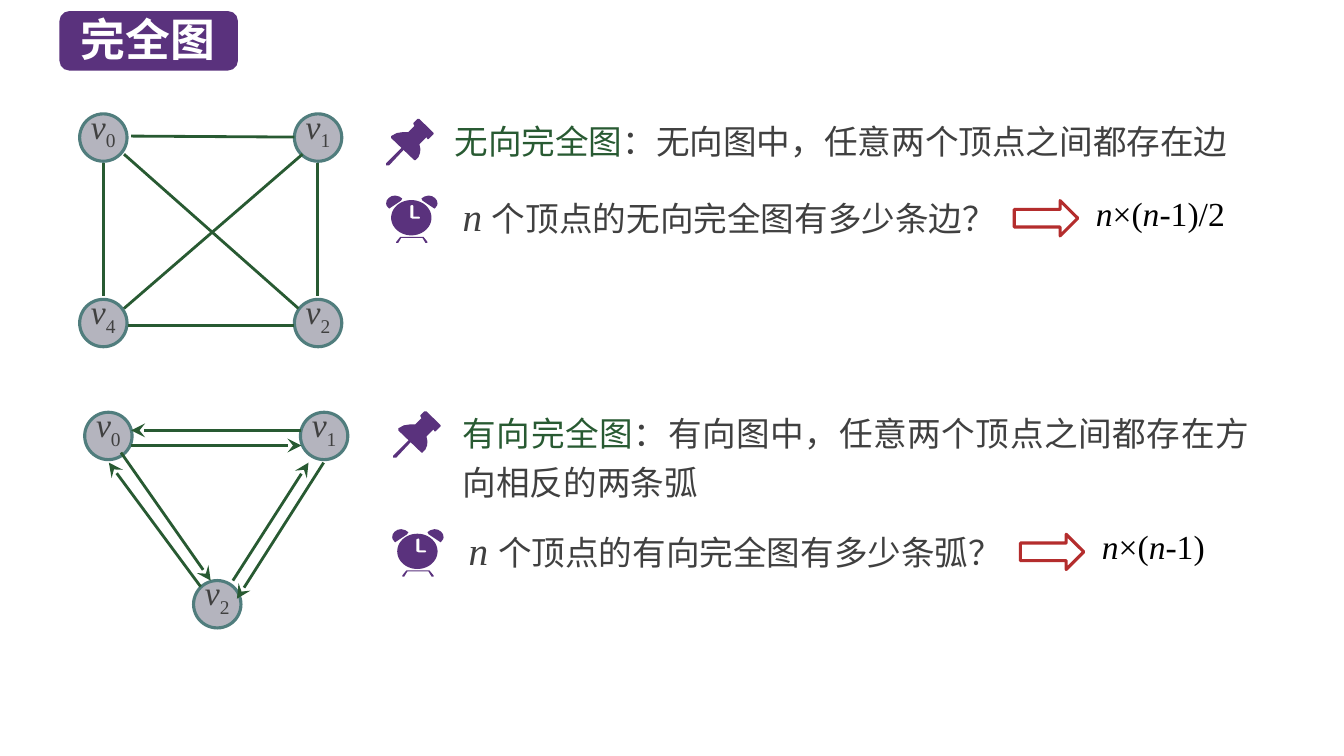
"""Build the slide on undirected and directed complete graphs."""
import math
from dataclasses import dataclass

from lxml import etree
from pptx import Presentation
from pptx.dml.color import RGBColor
from pptx.enum.shapes import MSO_CONNECTOR, MSO_SHAPE
from pptx.enum.text import MSO_ANCHOR, MSO_AUTO_SIZE, PP_ALIGN
from pptx.oxml.ns import qn
from pptx.util import Inches, Pt

STRAIGHT = MSO_CONNECTOR.STRAIGHT
ELLIPSE, ROUNDED, ARROW = MSO_SHAPE.OVAL, MSO_SHAPE.ROUNDED_RECTANGLE, MSO_SHAPE.RIGHT_ARROW
LEFT, CENTER, JUSTIFY = PP_ALIGN.LEFT, PP_ALIGN.CENTER, PP_ALIGN.JUSTIFY
TOP = MSO_ANCHOR.TOP
GROW = MSO_AUTO_SIZE.SHAPE_TO_FIT_TEXT


@dataclass(frozen=True)
class Theme:
    """Colours, fonts and type sizes of the slide."""
    purple: str = "5A327D"
    green: str = "285A32"
    node: str = "B4B4BE"
    rim: str = "507D7D"
    red: str = "B42D2D"
    ink: str = "404040"
    black: str = "000000"
    white: str = "FFFFFF"
    latin: str = "Times New Roman"
    chinese: str = "Noto Sans CJK SC"
    title: int = 32
    variable: int = 28
    body: int = 24


THEME = Theme()
NODE_SIZE = 0.47

PIN_HEAD = [(47, 15), (33, 1), (31, 1), (27, 5), (27, 6), (28, 8), (22, 14), (17, 14),
            (10.5, 15), (5, 18), (5, 20), (28, 42), (29, 42), (32, 39), (33.5, 35),
            (34, 31), (33, 26), (40, 19), (41, 21), (42, 21), (47, 16)]
PIN_NEEDLE = [(2, 47), (0, 47), (0, 45), (16, 29), (18, 29), (18, 31), (3, 47)]
CLOCK_LEGS = [(41, 46), (37, 41), (14, 41), (10, 46), (10, 47), (12, 47), (15, 42),
              (36, 42), (39, 47), (41, 47)]
CLOCK_EAR = [(9, 0), (5.5, 0.6), (2.5, 2.5), (0.6, 5), (0, 8), (0.5, 10), (2, 12),
             (3, 13), (15, 5), (16, 3), (13, 1)]
CLOCK_HANDS = [(33, 23), (26, 23), (24, 22), (24, 10), (26, 9), (27, 10), (27, 21),
               (33, 21), (34, 22)]
CLOCK_FACE = [(25 + 20 * math.cos(math.radians(a)), 22 + 17.5 * math.sin(math.radians(a)))
              for a in range(0, 360, 6)]


def colour(code):
    """Return the colour for a hex code."""
    return RGBColor.from_string(code)


def paint(shape, fill=None, line=None):
    """Set fill and outline and remove the shadow."""
    shape.shadow.inherit = False
    if fill:
        shape.fill.solid()
        shape.fill.fore_color.rgb = colour(fill)
    else:
        shape.fill.background()
    if line:
        shape.line.color.rgb = colour(line)
        shape.line.width = Pt(2.25)
    else:
        shape.line.fill.background()


def add_run(paragraph, text, size, ink, italic=False, bold=False, latin=THEME.latin):
    """Append one formatted run and return it."""
    run = paragraph.add_run()
    run.text = text
    font = run.font
    font.size, font.italic, font.bold, font.name = Pt(size), italic, bold, latin
    font.color.rgb = colour(ink)
    east_asian = etree.SubElement(font._element, qn("a:ea"))
    east_asian.set("typeface", THEME.chinese)
    return run


def add_text(slide, left, top, width, height, align=LEFT, spacing=None):
    """Add a wrapping text box, with no hanging punctuation, and return its paragraph."""
    box = slide.shapes.add_textbox(*map(Inches, (left, top, width, height)))
    frame = box.text_frame
    frame.word_wrap, frame.auto_size = True, GROW
    paragraph = frame.paragraphs[0]
    paragraph.alignment, paragraph.line_spacing = align, spacing
    paragraph._p.get_or_add_pPr().set("hangingPunct", "0")
    return paragraph


def add_title(slide, text):
    """Add the title on its rounded plate."""
    plate = slide.shapes.add_shape(ROUNDED, *map(Inches, (0.59, 0.11, 1.77, 0.59)))
    paint(plate, THEME.purple)
    title = add_text(slide, 0.7, 0.07, 1.7, 0.64)
    add_run(title, text, THEME.title, THEME.white, bold=True, latin=THEME.chinese)


def add_vertex(slide, left, top, index):
    """Add a round vertex labelled v with a subscript."""
    vertex = slide.shapes.add_shape(ELLIPSE, *map(Inches, (left, top, NODE_SIZE, NODE_SIZE)))
    paint(vertex, THEME.node, THEME.rim)
    frame = vertex.text_frame
    frame.margin_left = frame.margin_right = frame.margin_top = frame.margin_bottom = 0
    frame.vertical_anchor = TOP
    label = frame.paragraphs[0]
    label.alignment, label.line_spacing = CENTER, Pt(22)
    add_run(label, "v", THEME.body, THEME.ink, italic=True)
    subscript = add_run(label, index, THEME.body, THEME.ink)
    subscript.font._element.set("baseline", "-25000")


def add_edge(slide, start, end, directed=False):
    """Add an edge, or an arc with an arrowhead at its end."""
    edge = slide.shapes.add_connector(STRAIGHT, *map(Inches, (*start, *end)))
    edge.line.color.rgb = colour(THEME.green)
    edge.line.width = Pt(2)
    if directed:
        head = etree.SubElement(edge.line._get_or_add_ln(), qn("a:tailEnd"))
        for key, value in (("type", "stealth"), ("w", "lg"), ("len", "lg")):
            head.set(key, value)
    etree.SubElement(edge._element.spPr, qn("a:effectLst"))


def add_graph(slide, vertices, edges, directed=False):
    """Add the vertices of a graph and the edges between them."""
    for vertex in vertices:
        add_vertex(slide, *vertex)
    for start, end in edges:
        add_edge(slide, start, end, directed)


def add_outline(slide, left, top, *contours):
    """Add a purple outline from contours in hundredths of an inch."""
    placed = [[(Inches(left + x / 100), Inches(top + y / 100)) for x, y in contour]
              for contour in contours]
    builder = slide.shapes.build_freeform(*placed[0][0])
    builder.add_line_segments(placed[0][1:], close=True)
    for hole in placed[1:]:
        builder.move_to(*hole[0])
        builder.add_line_segments(hole[1:], close=True)
    paint(builder.convert_to_shape(), THEME.purple)


def add_pin(slide, left, top):
    """Add the push pin that marks a definition."""
    for contour in (PIN_HEAD, PIN_NEEDLE):
        add_outline(slide, left, top, contour)


def add_clock(slide, left, top):
    """Add the alarm clock that marks a question."""
    right_ear = [(51 - x, y) for x, y in CLOCK_EAR]
    for contour in (CLOCK_LEGS, CLOCK_EAR, right_ear):
        add_outline(slide, left, top, contour)
    add_outline(slide, left, top, CLOCK_FACE, CLOCK_HANDS)


def add_definition(slide, left, top, height, term, meaning):
    """Add a term in green followed by its meaning."""
    definition = add_text(slide, left, top, 8, height, JUSTIFY, 1.2)
    add_run(definition, term, THEME.body, THEME.green)
    add_run(definition, meaning, THEME.body, THEME.ink)


def add_question(slide, left, top, wording, ending):
    """Add the clock, the question, the arrow and the formula in one row."""
    question = add_text(slide, left + 0.66, top, 5.57, 0.57, JUSTIFY)
    add_run(question, "n ", THEME.variable, THEME.ink, italic=True)
    add_run(question, wording, THEME.body, THEME.ink)
    add_clock(slide, left, top + 0.08)
    formula = add_text(slide, left + 6.94, top, 1.72, 0.5)
    for part in ("n", "×(", "n", ending):
        add_run(formula, part, THEME.body, THEME.black, italic=part == "n")
    arrow = slide.shapes.add_shape(
        ARROW, *map(Inches, (left + 6.23, top + 0.13, 0.63, 0.35)))
    paint(arrow, line=THEME.red)


def main():
    """Build and save the slide."""
    deck = Presentation()
    deck.slide_width, deck.slide_height = Inches(13.33), Inches(7.5)
    slide = deck.slides.add_slide(deck.slide_layouts[6])
    add_title(slide, "完全图")

    add_definition(slide, 4.41, 1.07, 0.59, "无向完全图", "：无向图中，任意两个顶点之间都存在边")
    add_pin(slide, 3.83, 1.17)
    add_graph(slide,
              [(0.79, 1.13, "0"), (2.92, 1.13, "1"), (2.92, 2.97, "2"), (0.79, 2.97, "4")],
              [((1.3, 1.35), (2.92, 1.36)), ((1.23, 1.53), (2.96, 3.06)),
               ((1.03, 1.62), (1.03, 2.94)), ((3.15, 1.62), (3.15, 2.94)),
               ((3, 1.53), (1.23, 3.06)), ((1.27, 3.23), (2.92, 3.23))])
    add_question(slide, 3.83, 1.86, "个顶点的无向完全图有多少条边？", "-1)/2")

    add_definition(slide, 4.49, 3.97, 1.07, "有向完全图",
                   "：有向图中，任意两个顶点之间都存在方向相反的两条弧")
    add_pin(slide, 3.9, 4.07)
    add_graph(slide,
              [(0.84, 4.09, "0"), (2.98, 4.09, "1"), (1.92, 5.76, "2")],
              [((1.3, 4.42), (2.99, 4.42)), ((2.99, 4.27), (1.3, 4.27)),
               ((1.2, 4.49), (2.09, 5.76)), ((1.99, 5.82), (1.08, 4.59)),
               ((3.21, 4.59), (2.35, 5.94)), ((2.31, 5.76), (3.06, 4.59))],
              directed=True)
    add_question(slide, 3.89, 5.17, "个顶点的有向完全图有多少条弧？", "-1)")
    deck.save("out.pptx")


if __name__ == "__main__":
    main()
